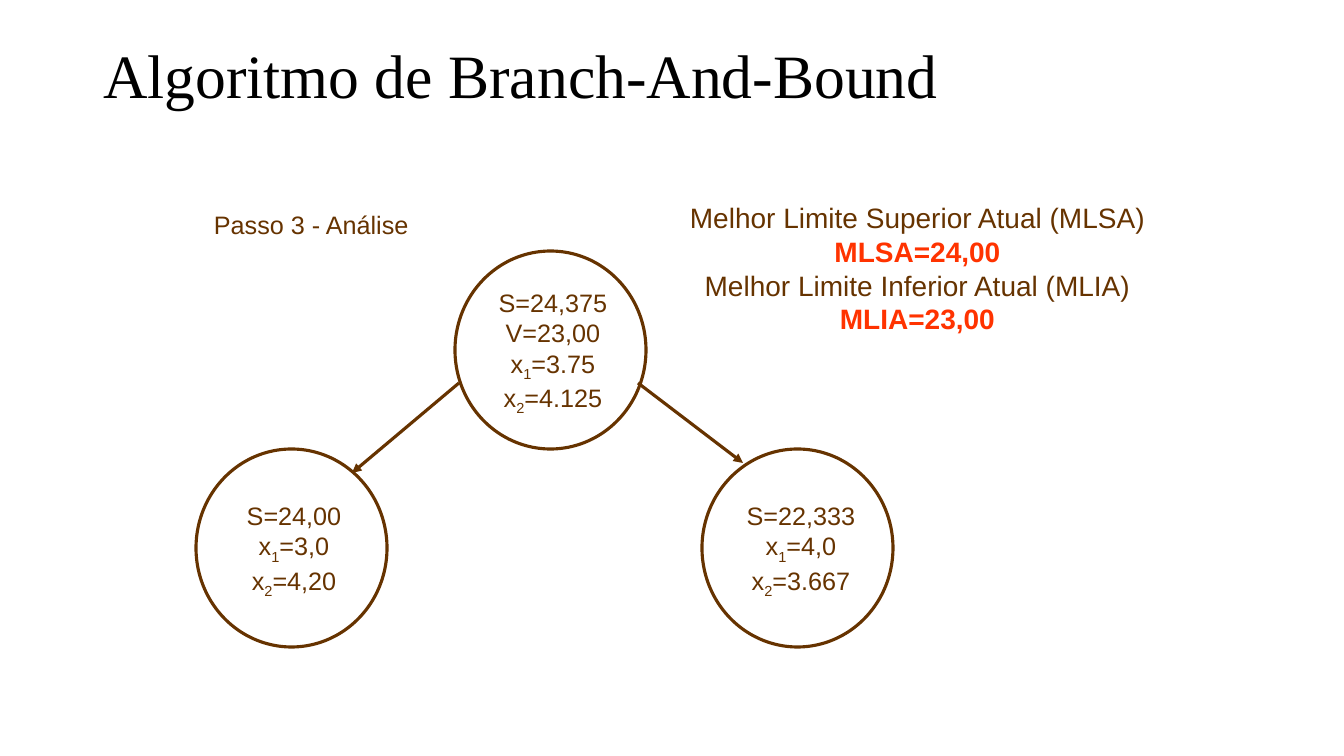
from lxml import etree
from pptx import Presentation
from pptx import util as u
from pptx.dml.color import RGBColor
from pptx.enum import shapes, text
from pptx.oxml.ns import qn

PX = 914400 / 100.8
BROWN = RGBColor(0x66, 0x33, 0x00)
RED = RGBColor(0xFF, 0x33, 0x00)
WHITE = RGBColor(0xFF, 0xFF, 0xFF)
BLACK = RGBColor(0x00, 0x00, 0x00)
CIRCLE_SIZE = (191, 198)


def px(*lengths):
    return [u.Emu(round(length * PX)) for length in lengths]


def style_run(run, size, color, font="Arial", bold=False):
    run.font.name = font
    run.font.size = u.Pt(size)
    run.font.color.rgb = color
    run.font.bold = bold


def add_title(slide, wording, box):
    title = slide.shapes.title
    title.left, title.top, title.width, title.height = px(*box)
    frame = title.text_frame
    frame.text = wording
    frame.auto_size = text.MSO_AUTO_SIZE.NONE
    frame.vertical_anchor = text.MSO_ANCHOR.TOP
    heading = frame.paragraphs[0]
    heading.alignment = text.PP_ALIGN.LEFT
    heading.line_spacing = 0.9
    style_run(heading.runs[0], 44, BLACK, "Times New Roman")


def add_label(parent, lines, box, size=18, align=text.PP_ALIGN.CENTER):
    frame = parent.shapes.add_textbox(*px(*box)).text_frame
    frame.word_wrap = False
    frame.auto_size = text.MSO_AUTO_SIZE.SHAPE_TO_FIT_TEXT
    frame.vertical_anchor = text.MSO_ANCHOR.MIDDLE
    frame.text = "\n".join(lines)
    for paragraph in frame.paragraphs:
        paragraph.alignment = align
        for run in paragraph.runs:
            style_run(run, size, BROWN)
    return frame


def lower_indices(frame):
    for paragraph in frame.paragraphs:
        variable, mark, rest = paragraph.text.partition("_")
        if mark:
            paragraph.text = variable
            for part in (rest[0], rest[1:]):
                paragraph.add_run().text = part
            for run in paragraph.runs:
                style_run(run, 18, BROWN)
            paragraph.runs[1].font._element.set("baseline", "-25000")


def add_node(slide, corner, lines, label_box):
    node = slide.shapes.add_group_shape()
    circle = node.shapes.add_shape(shapes.MSO_SHAPE.OVAL, *px(*corner, *CIRCLE_SIZE))
    circle.shadow.inherit = False
    circle.fill.solid()
    circle.fill.fore_color.rgb = WHITE
    circle.line.color.rgb = BROWN
    circle.line.width = u.Pt(2.25)
    lower_indices(add_label(node, lines, label_box))


def add_branch(slide, start, end):
    branch = slide.shapes.add_connector(shapes.MSO_CONNECTOR.STRAIGHT, *px(*start, *end))
    branch.line.color.rgb = BROWN
    branch.line.width = u.Pt(2.25)
    etree.SubElement(branch.line._get_or_add_ln(), qn("a:tailEnd"), type="triangle")
    etree.SubElement(branch._element.spPr, qn("a:effectLst"))


def main():
    deck = Presentation()
    deck.slide_width, deck.slide_height = px(1344, 756)
    slide = deck.slides.add_slide(deck.slide_layouts[5])

    add_title(slide, "Algoritmo de Branch-And-Bound", (93, 40, 1159, 146))
    limits = add_label(
        slide,
        ["Melhor Limite Superior Atual (MLSA)", "MLSA=24,00",
         "Melhor Limite Inferior Atual (MLIA)", "MLIA=23,00"],
        (678, 195, 479, 146), size=20)
    for value in limits.paragraphs[1::2]:
        style_run(value.runs[0], 20, RED, bold=True)

    add_node(slide, (455, 251), ["S=24,375", "V=23,00", "x_1=3.75", "x_2=4.125"],
             (488, 286, 130, 132))
    add_node(slide, (702, 449), ["S=22,333", "x_1=4,0", "x_2=3.667"],
             (736, 499, 130, 102))
    add_node(slide, (196, 449), ["S=24,00", "x_1=3,0", "x_2=4,20"],
             (236, 499, 116, 102))
    add_branch(slide, (459, 383), (352, 473))
    add_branch(slide, (638, 383), (743, 463))
    add_label(slide, ["Passo 3 - Análise"], (204, 204, 217, 40),
              align=text.PP_ALIGN.LEFT)

    deck.save("out.pptx")


if __name__ == "__main__":
    main()
